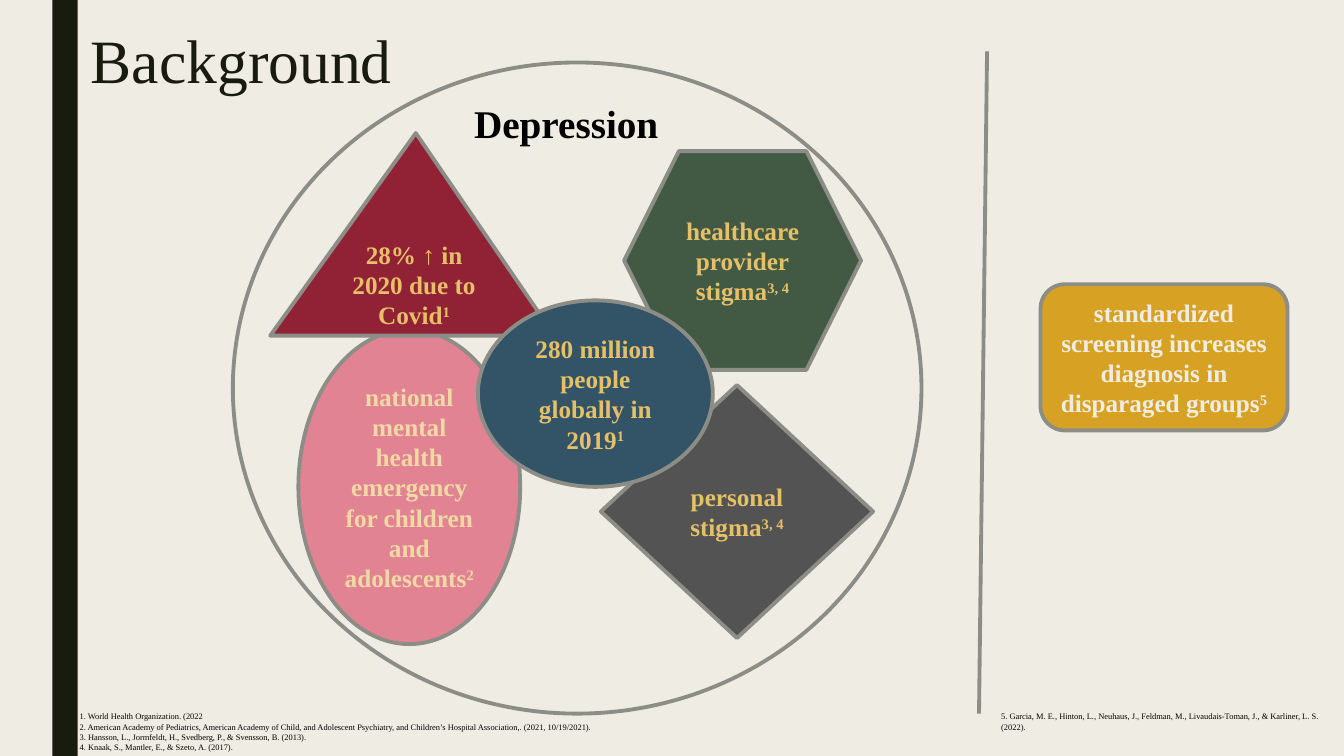
from pptx import Presentation
from pptx.dml.color import RGBColor
from pptx.enum.shapes import MSO_CONNECTOR, MSO_SHAPE
from pptx.enum.text import MSO_ANCHOR, MSO_AUTO_SIZE, PP_ALIGN
from pptx.oxml.ns import qn
from pptx.util import Inches, Pt
from lxml import etree

FONT = "Times New Roman"
CREAM = RGBColor(0xEF, 0xED, 0xE3)
INK = RGBColor(0x19, 0x1B, 0x0E)
BLACK = RGBColor(0x00, 0x00, 0x00)
GRAY = RGBColor(0x8C, 0x8D, 0x86)
CHARCOAL = RGBColor(0x53, 0x53, 0x53)
GOLD = RGBColor(0xD7, 0xA1, 0x24)
LIGHT_GOLD = RGBColor(0xE6, 0xC0, 0x69)
PALE_GOLD = RGBColor(0xF0, 0xD9, 0xA5)
GREEN = RGBColor(0x42, 0x5A, 0x43)
PINK = RGBColor(0xE2, 0x83, 0x94)
RED = RGBColor(0x91, 0x22, 0x36)
BLUE = RGBColor(0x33, 0x53, 0x66)
OUTLINE = Pt(2.75)
LEFT, CENTER = PP_ALIGN.LEFT, PP_ALIGN.CENTER
TOP, MIDDLE = MSO_ANCHOR.TOP, MSO_ANCHOR.MIDDLE
OVAL, TRIANGLE = MSO_SHAPE.OVAL, MSO_SHAPE.ISOSCELES_TRIANGLE


def write(box, lines, size, color, bold=False, align=LEFT, anchor=TOP):
    """Fill a box with paragraphs; text after ^ is a superscript."""
    frame = box.text_frame
    frame.word_wrap = True
    frame.auto_size = MSO_AUTO_SIZE.NONE
    frame.vertical_anchor = anchor
    frame.margin_left = frame.margin_right = Inches(0.05)
    frame.margin_top = frame.margin_bottom = Inches(0.05)
    for number, line in enumerate(lines):
        para = frame.paragraphs[0] if number == 0 else frame.add_paragraph()
        para.alignment = align
        body, _, reference = line.partition("^")
        para.text = body
        if reference:
            span = para.add_run()
            span.text = reference
            span.font._element.set("baseline", "30000")
        for span in para.runs:
            span.font.name = FONT
            span.font.size = Pt(size)
            span.font.bold = bold
            span.font.color.rgb = color


def add_figure(kind, place, fill, line=GRAY):
    figure = page.shapes.add_shape(kind, *map(Inches, place))
    figure.shadow.inherit = False
    if fill is None:
        figure.fill.background()
    else:
        figure.fill.solid()
        figure.fill.fore_color.rgb = fill
    if line is None:
        figure.line.fill.background()
    else:
        figure.line.color.rgb = line
        figure.line.width = OUTLINE
    return figure


deck = Presentation()
deck.slide_width, deck.slide_height = Inches(13.33), Inches(7.5)
page = deck.slides.add_slide(deck.slide_layouts[5])
page.background.fill.solid()
page.background.fill.fore_color.rgb = CREAM

# Side band and title
add_figure(MSO_SHAPE.RECTANGLE, (0.52, 0, 0.25, 7.5), INK, None)
title = page.shapes.title
title.left, title.top = Inches(0.85), Inches(0.26)
title.width, title.height = Inches(10.5), Inches(1.62)
write(title, ["Background"], 44, INK)
title.text_frame.paragraphs[0].line_spacing = 0.89

# Divider between the problem and the answer
divider = page.shapes.add_connector(
    MSO_CONNECTOR.STRAIGHT, Inches(9.79), Inches(0.51), Inches(9.71), Inches(7.08))
divider.line.color.rgb = GRAY
divider.line.width = OUTLINE
etree.SubElement(divider._element.spPr, qn("a:effectLst"))

# Figures, from back to front
figures = [
    (MSO_SHAPE.ROUNDED_RECTANGLE, (10.32, 2.82, 2.45, 1.45), GOLD, CREAM,
     ["standardized screening increases diagnosis in disparaged groups^5"]),
    (MSO_SHAPE.HEXAGON, (6.19, 1.5, 2.35, 2.17), GREEN, LIGHT_GOLD,
     ["healthcare provider", "stigma^3, 4"]),
    (OVAL, (2.96, 3.27, 2.2, 3.12), PINK, PALE_GOLD,
     ["national mental health emergency for children and adolescents^2"]),
    (MSO_SHAPE.DIAMOND, (5.96, 3.82, 2.7, 2.51), CHARCOAL, LIGHT_GOLD,
     ["personal", "stigma^3, 4"]),
    (TRIANGLE, (2.68, 1.32, 2.82, 2.01), RED, LIGHT_GOLD,
     ["28% ↑ in 2020 due to Covid^1"]),
    (OVAL, (2.31, 0.62, 6.83, 6.46), None, BLACK, []),
    (OVAL, (4.74, 2.98, 2.33, 1.85), BLUE, LIGHT_GOLD,
     ["280 million people globally in 2019^1"]),
]
for kind, place, fill, color, lines in figures:
    figure = add_figure(kind, place, fill)
    if kind == TRIANGLE:
        figure.adjustments[0] = 0.512
    write(figure, lines, 18, color, True, CENTER, TOP if kind == TRIANGLE else MIDDLE)

# Heading of the circle and references
labels = [
    ((3.87, 0.94, 3.49, 0.57), 28, True, CENTER, ["Depression"]),
    ((0.74, 7.01, 8.69, 0.5), 6, False, LEFT, [
        "1. World Health Organization. (2022",
        "2. American Academy of Pediatrics, American Academy of Child, and Adolescent "
        "Psychiatry, and Children’s Hospital Association,. (2021, 10/19/2021).",
        "3. Hansson, L., Jormfeldt, H., Svedberg, P., & Svensson, B. (2013).",
        "4. Knaak, S., Mantler, E., & Szeto, A. (2017)."]),
    ((9.88, 7.01, 3.35, 0.3), 6, False, LEFT, [
        "5. Garcia, M. E., Hinton, L., Neuhaus, J., Feldman, M., Livaudais-Toman, J., "
        "& Karliner, L. S. (2022)."]),
]
for place, size, bold, align, lines in labels:
    label = page.shapes.add_textbox(*map(Inches, place))
    write(label, lines, size, BLACK, bold, align)

deck.save("out.pptx")
